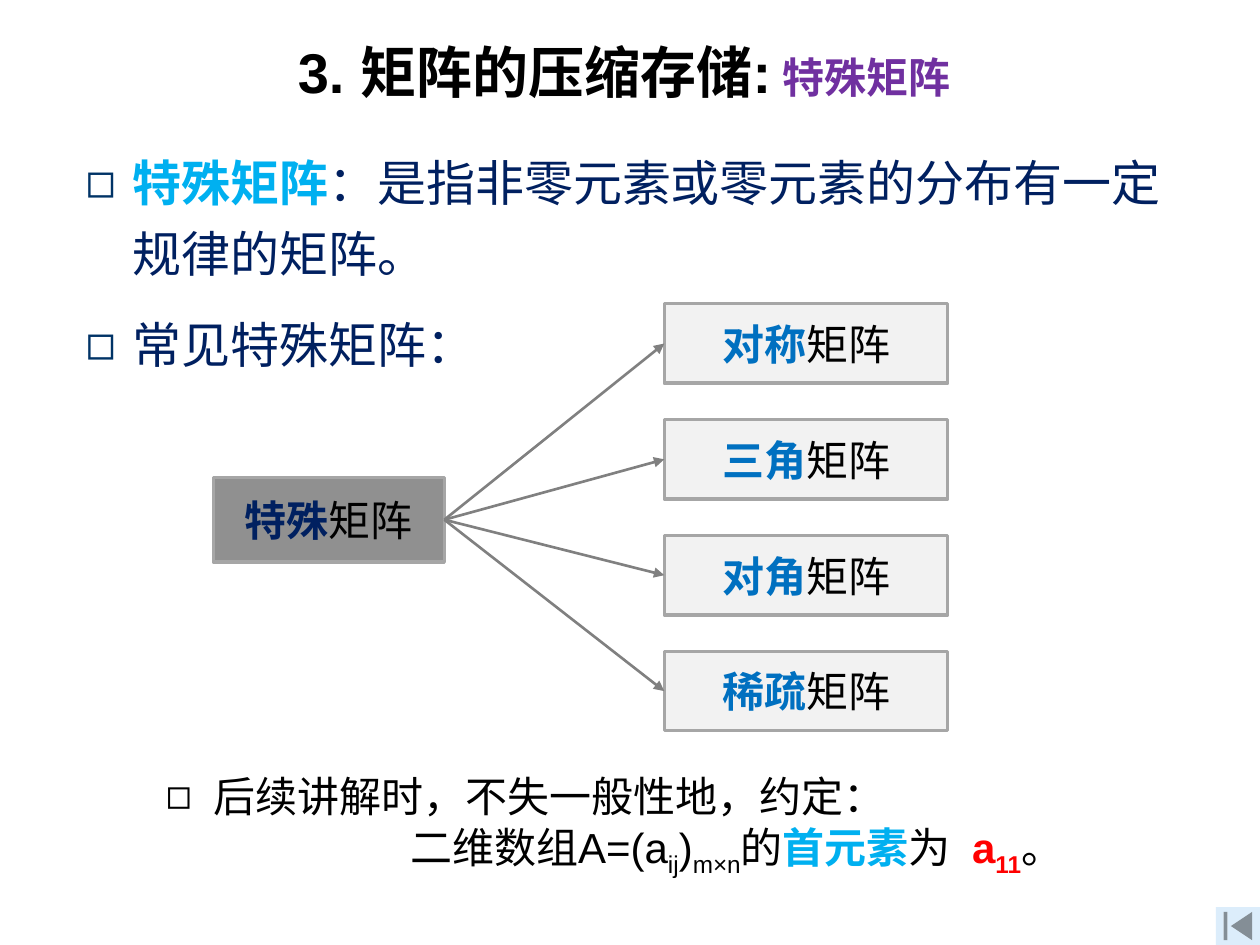
"""Build the slide on compressed storage of special matrices."""
from dataclasses import dataclass

from lxml import etree
from pptx import Presentation
from pptx.dml.color import RGBColor
from pptx.enum.shapes import MSO_CONNECTOR, MSO_SHAPE
from pptx.enum.text import MSO_ANCHOR, PP_ALIGN
from pptx.oxml.ns import qn
from pptx.util import Pt

STRAIGHT = MSO_CONNECTOR.STRAIGHT
RECTANGLE = MSO_SHAPE.RECTANGLE
BEGINNING_BUTTON = MSO_SHAPE.ACTION_BUTTON_BEGINNING
MIDDLE, TOP = MSO_ANCHOR.MIDDLE, MSO_ANCHOR.TOP
CENTER, LEFT = PP_ALIGN.CENTER, PP_ALIGN.LEFT


@dataclass(frozen=True)
class Theme:
    """Colours, type sizes and font of the slide."""
    font: str = "Arial"
    title: int = 32
    body: int = 28
    label: int = 24
    black: str = "000000"
    purple: str = "7030A0"
    sky: str = "00B0F0"
    navy: str = "002060"
    blue: str = "0070C0"
    red: str = "FF0000"
    bullet: str = "003366"
    root_fill: str = "909090"
    leaf_fill: str = "F2F2F2"
    border: str = "A6A6A6"
    arrow: str = "808080"
    button: str = "DCEDFB"


THEME = Theme()
SUBSCRIPT = {"baseline": "-25000"}
WIDE_SPACE = {"spc": "670"}

TITLE = [("3. 矩阵的压缩存储:", THEME.black, True),
         (" 特殊矩阵", THEME.purple, True, {"sz": "2400"})]
BODY = [
    [("特殊矩阵", THEME.sky, True),
     ("：是指非零元素或零元素的分布有一定规律的矩阵。", THEME.navy, False)],
    [("常见特殊矩阵：", THEME.navy, False)],
]
ROOT = "特殊"
KINDS = ["对称", "三角", "对角", "稀疏"]
SUFFIX = "矩阵"
NOTE_LEAD = [("后续讲解时，不失一般性地，约定：", THEME.black, False)]
NOTE_RULE = [
    ("二维数组A=(a", THEME.black, False),
    ("ij", THEME.black, False, SUBSCRIPT),
    (")", THEME.black, False),
    ("m×n", THEME.black, False, SUBSCRIPT),
    ("的", THEME.black, False),
    ("首元素", THEME.sky, True),
    ("为", THEME.black, False),
    (" ", THEME.black, False, WIDE_SPACE),
    ("a", THEME.red, True),
    ("11", THEME.red, True, SUBSCRIPT),
    ("。", THEME.black, False),
]

TITLE_BOX = (77.8, 21.6, 558, 38.2)
BODY_BOX = (41.8, 77, 645, 431.3)
NOTE_BOX = (87.8, 437, 595.4, 65.5)
ROOT_BOX = (121.9, 272.9, 132, 48.2)
BUTTON_BOX = (694.8, 518.4, 25.2, 21.6)
LEAF_LEFT, LEAF_TOP, LEAF_WIDTH, LEAF_HEIGHT = 379.6, 173.6, 162, 45.4
LEAF_STEP = 66.2
HANGING = 27
RULE_INDENT = 139.5


def points(values):
    return [Pt(value) for value in values]


def color(value):
    return RGBColor.from_string(value)


def write_paragraph(paragraph, runs, size, align=LEFT):
    paragraph.alignment = align
    paragraph.font.name = THEME.font
    paragraph.font.size = Pt(size)
    for text, run_color, bold, *extra in runs:
        run = paragraph.add_run()
        run.text = text
        run.font.color.rgb = color(run_color)
        run.font.bold = bold
        for attributes in extra:
            for name, value in attributes.items():
                run.font._element.set(name, value)


def indent(paragraph, left, first=0):
    properties = paragraph._p.get_or_add_pPr()
    properties.set("marL", str(Pt(left)))
    properties.set("indent", str(Pt(first)))
    return properties


def add_bullet(paragraph, bullet_color):
    properties = indent(paragraph, HANGING, -HANGING)
    holder = etree.SubElement(properties, qn("a:buClr"))
    etree.SubElement(holder, qn("a:srgbClr"), val=bullet_color)
    etree.SubElement(properties, qn("a:buFont"), typeface=THEME.font)
    etree.SubElement(properties, qn("a:buChar"), char="◻")


def add_text_frame(slide, box, anchor=TOP):
    frame = slide.shapes.add_textbox(*points(box)).text_frame
    frame.word_wrap = True
    frame.vertical_anchor = anchor
    return frame


def add_filled_shape(slide, kind, box, fill):
    shape = slide.shapes.add_shape(kind, *points(box))
    shape.shadow.inherit = False
    shape.fill.solid()
    shape.fill.fore_color.rgb = color(fill)
    shape.line.fill.background()
    return shape


def add_matrix_box(slide, box, name, name_color, fill):
    shape = add_filled_shape(slide, RECTANGLE, box, fill)
    shape.line.color.rgb = color(THEME.border)
    shape.line.width = Pt(2)
    shape.text_frame.vertical_anchor = MIDDLE
    runs = [(name, name_color, True), (SUFFIX, THEME.black, False)]
    write_paragraph(shape.text_frame.paragraphs[0], runs, THEME.label, CENTER)


def add_arrow(slide, start, end):
    arrow = slide.shapes.add_connector(STRAIGHT, *points(start + end))
    arrow.line.color.rgb = color(THEME.arrow)
    arrow.line.width = Pt(1.5)
    etree.SubElement(arrow.line._get_or_add_ln(), qn("a:tailEnd"), type="triangle")
    etree.SubElement(arrow._element.spPr, qn("a:effectLst"))


def add_body(slide):
    frame = add_text_frame(slide, BODY_BOX)
    for index, runs in enumerate(BODY):
        paragraph = frame.add_paragraph() if index else frame.paragraphs[0]
        add_bullet(paragraph, THEME.bullet)
        paragraph.line_spacing = 1.2
        paragraph.space_before = Pt(12 if index else 0)
        write_paragraph(paragraph, runs, THEME.body)


def add_tree(slide):
    left, top, width, height = ROOT_BOX
    start = (left + width, top + height / 2)
    add_matrix_box(slide, ROOT_BOX, ROOT, THEME.navy, THEME.root_fill)
    for index, name in enumerate(KINDS):
        leaf_top = LEAF_TOP + index * LEAF_STEP
        box = (LEAF_LEFT, leaf_top, LEAF_WIDTH, LEAF_HEIGHT)
        add_matrix_box(slide, box, name, THEME.blue, THEME.leaf_fill)
        add_arrow(slide, start, (LEAF_LEFT, leaf_top + LEAF_HEIGHT / 2))


def add_note(slide):
    frame = add_text_frame(slide, NOTE_BOX)
    lead, rule = frame.paragraphs[0], frame.add_paragraph()
    add_bullet(lead, THEME.black)
    write_paragraph(lead, NOTE_LEAD, THEME.label)
    indent(rule, RULE_INDENT)
    write_paragraph(rule, NOTE_RULE, THEME.label)


def main():
    presentation = Presentation()
    presentation.slide_width, presentation.slide_height = Pt(720), Pt(540)
    slide = presentation.slides.add_slide(presentation.slide_layouts[6])
    title = add_text_frame(slide, TITLE_BOX, MIDDLE)
    write_paragraph(title.paragraphs[0], TITLE, THEME.title, CENTER)
    add_body(slide)
    add_tree(slide)
    add_filled_shape(slide, BEGINNING_BUTTON, BUTTON_BOX, THEME.button)
    add_note(slide)
    presentation.save("out.pptx")


if __name__ == "__main__":
    main()
